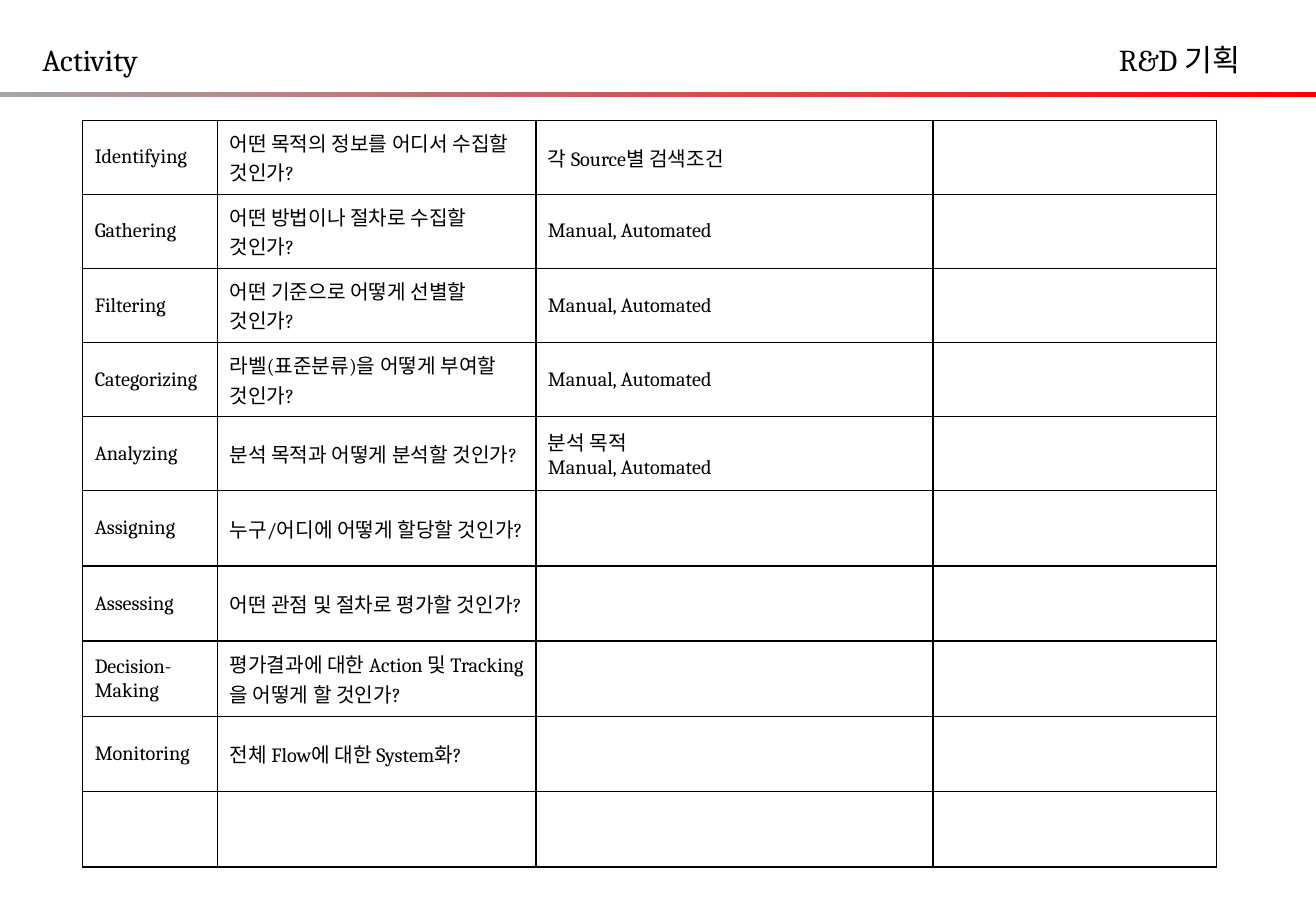
"""Build the R&D planning slide with its table of activities."""
from lxml import etree
from pptx import Presentation
from pptx.dml.color import RGBColor
from pptx.enum import shapes, text
from pptx.oxml.ns import qn
from pptx.util import Inches, Pt

COLORS = {"ink": "000000", "gray": "A6A6A6", "red": "FF0000"}
AUTO = "Manual, Automated"
ROWS = [
    ("Identifying", "어떤 목적의 정보를 어디서 수집할 것인가?", "각 Source별 검색조건"),
    ("Gathering", "어떤 방법이나 절차로 수집할 것인가?", AUTO),
    ("Filtering", "어떤 기준으로 어떻게 선별할 것인가?", AUTO),
    ("Categorizing", "라벨(표준분류)을 어떻게 부여할 것인가?", AUTO),
    ("Analyzing", "분석 목적과 어떻게 분석할 것인가?", "분석 목적\n" + AUTO),
    ("Assigning", "누구/어디에 어떻게 할당할 것인가?", ""),
    ("Assessing", "어떤 관점 및 절차로 평가할 것인가?", ""),
    ("Decision-Making", "평가결과에 대한 Action 및 Tracking을 어떻게 할 것인가?", ""),
    ("Monitoring", "전체 Flow에 대한 System화?", ""),
    ("", "", ""),
]
WIDTHS = [1.11, 2.62, 3.27, 2.33]


def style(frame, size):
    """Set the font of each paragraph in a frame."""
    for para in frame.paragraphs:
        for key, value in {"name": "Cambria", "size": Pt(size)}.items():
            setattr(para.font, key, value)
        para.font.color.rgb = RGBColor.from_string(COLORS["ink"])


def border(cell):
    """Draw a thin line on all four sides of a cell."""
    props = cell._tc.get_or_add_tcPr()
    for side in ("lnL", "lnR", "lnT", "lnB"):
        line = etree.SubElement(props, qn("a:" + side), w=str(Pt(1)))
        fill = etree.SubElement(line, qn("a:solidFill"))
        etree.SubElement(fill, qn("a:srgbClr"), val=COLORS["ink"])


deck = Presentation()
deck.slide_width, deck.slide_height = Inches(10.83), Inches(7.5)
slide = deck.slides.add_slide(deck.slide_layouts[6])

rule = slide.shapes.add_shape(
    shapes.MSO_SHAPE.RECTANGLE, 0, Inches(0.76), deck.slide_width, Inches(0.04))
rule.shadow.inherit = False
rule.line.fill.background()
rule.fill.gradient()
rule.fill.gradient_angle = 0
for stop, name in zip(rule.fill.gradient_stops, ("gray", "red")):
    stop.color.rgb = RGBColor.from_string(COLORS[name])

table = slide.shapes.add_table(
    len(ROWS), len(WIDTHS), Inches(0.68), Inches(0.99),
    Inches(sum(WIDTHS)), Inches(6.17)).table
table.first_row = table.horz_banding = False
for col, width in zip(table.columns, WIDTHS):
    col.width = Inches(width)
for i, row in enumerate(table.rows):
    row.height = Inches(0.61 if i < 5 else 0.62)
    for cell, words in zip(row.cells, ROWS[i] + ("",)):
        cell.text = words
        cell.vertical_anchor = text.MSO_ANCHOR.MIDDLE
        style(cell.text_frame, 12)
        border(cell)
        cell.fill.background()

for words, left, width in (("R&D 기획", 9.11, 1.26), ("Activity", 0.25, 1.03)):
    box = slide.shapes.add_textbox(
        Inches(left), Inches(0.29), Inches(width), Inches(0.4))
    frame = box.text_frame
    frame.text = words
    frame.word_wrap = False
    frame.auto_size = text.MSO_AUTO_SIZE.SHAPE_TO_FIT_TEXT
    style(frame, 18)

deck.save("out.pptx")
